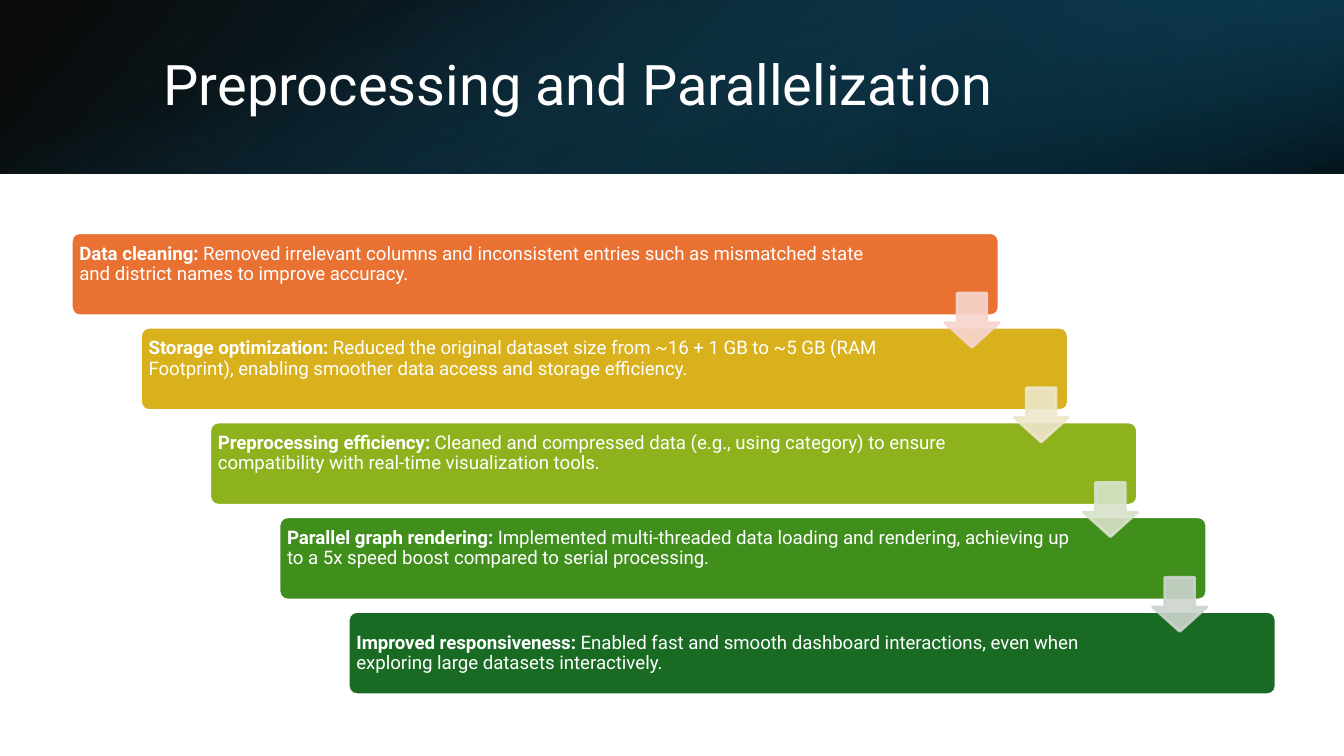
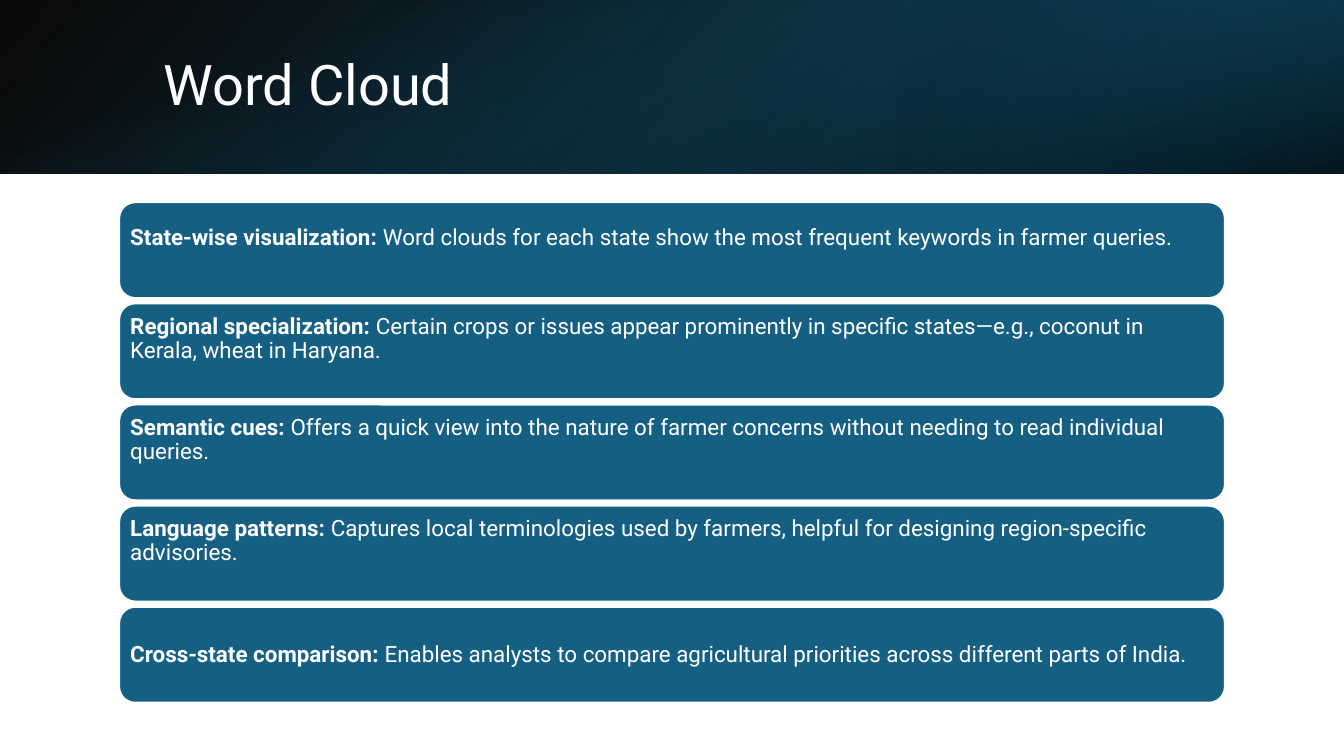
from pptx import Presentation
from pptx import util as u
from pptx.dml.color import RGBColor
from pptx.enum import shapes, text
from pptx.oxml import ns
from lxml import etree

Pt = u.Pt
PAGE_W, PAGE_H, BAND_H = 720, 405, 93
COLORS = {
    "white": "FFFFFF", "black": "000000", "teal": "156082",
    "deep": "104862", "night": "0B3041",
    "orange": "E97132", "gold": "D8B11D", "lime": "8EB21E",
    "green": "408E1C", "forest": "196B24",
    "pale orange": "F7D5CE", "pale gold": "EEE7CB",
    "pale lime": "D8E2CA", "pale green": "CCD4CD",
}


def rgb(name):
    return RGBColor.from_string(COLORS[name])


class Deck:
    font = "Roboto"
    title_size = 30
    line_width = 1.5
    line_spacing = 0.9

    def __init__(self):
        self.prs = Presentation()
        self.prs.slide_width, self.prs.slide_height = Pt(PAGE_W), Pt(PAGE_H)
        self.slide = None

    def new_slide(self, title):
        self.slide = self.prs.slides.add_slide(self.prs.slide_layouts[6])
        self.header_band()
        self.title(title)

    def shape(self, kind, x, y, w, h):
        item = self.slide.shapes.add_shape(kind, Pt(x), Pt(y), Pt(w), Pt(h))
        item.shadow.inherit = False
        return item

    def paint(self, item, fill, line):
        item.fill.solid()
        item.fill.fore_color.rgb = rgb(fill)
        item.line.color.rgb = rgb(line)
        item.line.width = Pt(self.line_width)

    def opacity(self, item, percents):
        """Give each colour of the shape, in order, its opacity."""
        tints = list(item._element.spPr.iter(ns.qn("a:srgbClr")))
        for tint, percent in zip(tints, percents):
            etree.SubElement(tint, ns.qn("a:alpha"), val=str(percent * 1000))

    def gradient(self, x, y, w, h, angle, stops, rotation=0, flip=False):
        layer = self.shape(shapes.MSO_SHAPE.RECTANGLE, x, y, w, h)
        layer.line.fill.background()
        layer.fill.gradient()
        layer.fill.gradient_angle = angle
        for stop, (position, color, _) in zip(layer.fill.gradient_stops, stops):
            stop.position = position
            stop.color.rgb = rgb(color)
        self.opacity(layer, [percent for _, _, percent in stops])
        layer.rotation = rotation
        if flip:
            layer._element.spPr.xfrm.set("flipH", "1")

    def header_band(self):
        self.gradient(0, 0, PAGE_W, BAND_H, 220,
                      [(0, "black", 96), (1, "deep", 100)], flip=True)
        self.gradient(PAGE_W * 2 / 3, 0, PAGE_W / 3, BAND_H, 40,
                      [(0.19, "night", 68), (1, "teal", 79)],
                      rotation=180, flip=True)
        # Upright strip turned to lie over the whole band
        offset = (PAGE_W - BAND_H) / 2
        self.gradient(offset, -offset, BAND_H, PAGE_W, 20,
                      [(0.23, "teal", 0), (0.99, "black", 74)], rotation=90)

    def run(self, paragraph, words, size, bold=False):
        run = paragraph.add_run()
        run.text = words
        run.font.name, run.font.size, run.font.bold = self.font, Pt(size), bold
        run.font.color.rgb = rgb("white")

    def paragraph(self, item):
        """Set up the text frame and return its first paragraph."""
        frame = item.text_frame
        frame.word_wrap = True
        frame.vertical_anchor = text.MSO_ANCHOR.MIDDLE
        paragraph = frame.paragraphs[0]
        paragraph.alignment = text.PP_ALIGN.LEFT
        paragraph.line_spacing = self.line_spacing
        return paragraph

    def title(self, words):
        box = self.slide.shapes.add_textbox(Pt(80.6), Pt(21), Pt(593), Pt(52))
        self.run(self.paragraph(box), words, self.title_size)

    def card(self, x, y, w, h, color, point, size, inset, right, raised, corner):
        card = self.shape(shapes.MSO_SHAPE.ROUNDED_RECTANGLE, x, y, w, h)
        card.adjustments[0] = corner
        self.paint(card, color, "white")
        paragraph = self.paragraph(card)
        paragraph.space_after = Pt(0.35 * size)
        frame = card.text_frame
        frame.margin_left = frame.margin_top = Pt(inset)
        frame.margin_right = Pt(right)
        # Raised text leaves one line free below it
        frame.margin_bottom = Pt(inset + (1.07 * size if raised else 0))
        heading, detail = point
        self.run(paragraph, heading + ":", size, bold=True)
        self.run(paragraph, " " + detail, size)

    def down_arrow(self, x, y, side, color):
        arrow = self.shape(shapes.MSO_SHAPE.DOWN_ARROW, x, y, side, side)
        arrow.adjustments[0], arrow.adjustments[1] = 0.55, 0.45
        self.paint(arrow, color, color)
        self.opacity(arrow, [90, 90])


def preprocessing(deck):
    deck.new_slide("Preprocessing and Parallelization")
    steps = [
        ("orange", "Data cleaning",
         "Removed irrelevant columns and inconsistent entries such as "
         "mismatched state and district names to improve accuracy."),
        ("gold", "Storage optimization",
         "Reduced the original dataset size from ~16 + 1 GB to ~5 GB (RAM "
         "Footprint), enabling smoother data access and storage efficiency."),
        ("lime", "Preprocessing efficiency",
         "Cleaned and compressed data (e.g., using category) to ensure "
         "compatibility with real-time visualization tools."),
        ("green", "Parallel graph rendering",
         "Implemented multi-threaded data loading and rendering, achieving up "
         "to a 5x speed boost compared to serial processing."),
        ("forest", "Improved responsiveness",
         "Enabled fast and smooth dashboard interactions, even when exploring "
         "large datasets interactively."),
    ]
    step_w, step_h, arrow_side = 497, 44.6, 29
    corners = [(38.2 + 37.1 * i, 124.6 + 50.75 * i) for i in range(len(steps))]

    # Staircase of steps
    for i, ((x, y), (color, *point)) in enumerate(zip(corners, steps)):
        deck.card(x, y, step_w, step_h, color, point, size=10, inset=3,
                  right=68 if i else 53, raised=i < len(steps) - 1, corner=0.1)

    # Arrows from each step to the next
    for (x, y), (color, *_) in zip(corners[:-1], steps):
        deck.down_arrow(x + step_w - arrow_side, y + 32.4, arrow_side,
                        "pale " + color)


def word_cloud(deck):
    deck.new_slide("Word Cloud")
    findings = [
        ("State-wise visualization",
         "Word clouds for each state show the most frequent keywords in "
         "farmer queries."),
        ("Regional specialization",
         "Certain crops or issues appear prominently in specific states—e.g., "
         "coconut in Kerala, wheat in Haryana."),
        ("Semantic cues",
         "Offers a quick view into the nature of farmer concerns without "
         "needing to read individual queries."),
        ("Language patterns",
         "Captures local terminologies used by farmers, helpful for designing "
         "region-specific advisories."),
        ("Cross-state comparison",
         "Enables analysts to compare agricultural priorities across different "
         "parts of India."),
    ]
    # Stack of findings
    for i, point in enumerate(findings):
        deck.card(63.6, 108.1 + 54.2 * i, 592.8, 51.8, "teal", point, size=12,
                  inset=3.6, right=3.6, raised=i < len(findings) - 1,
                  corner=0.17)


def main():
    deck = Deck()
    preprocessing(deck)
    word_cloud(deck)
    deck.prs.save("out.pptx")


if __name__ == "__main__":
    main()
